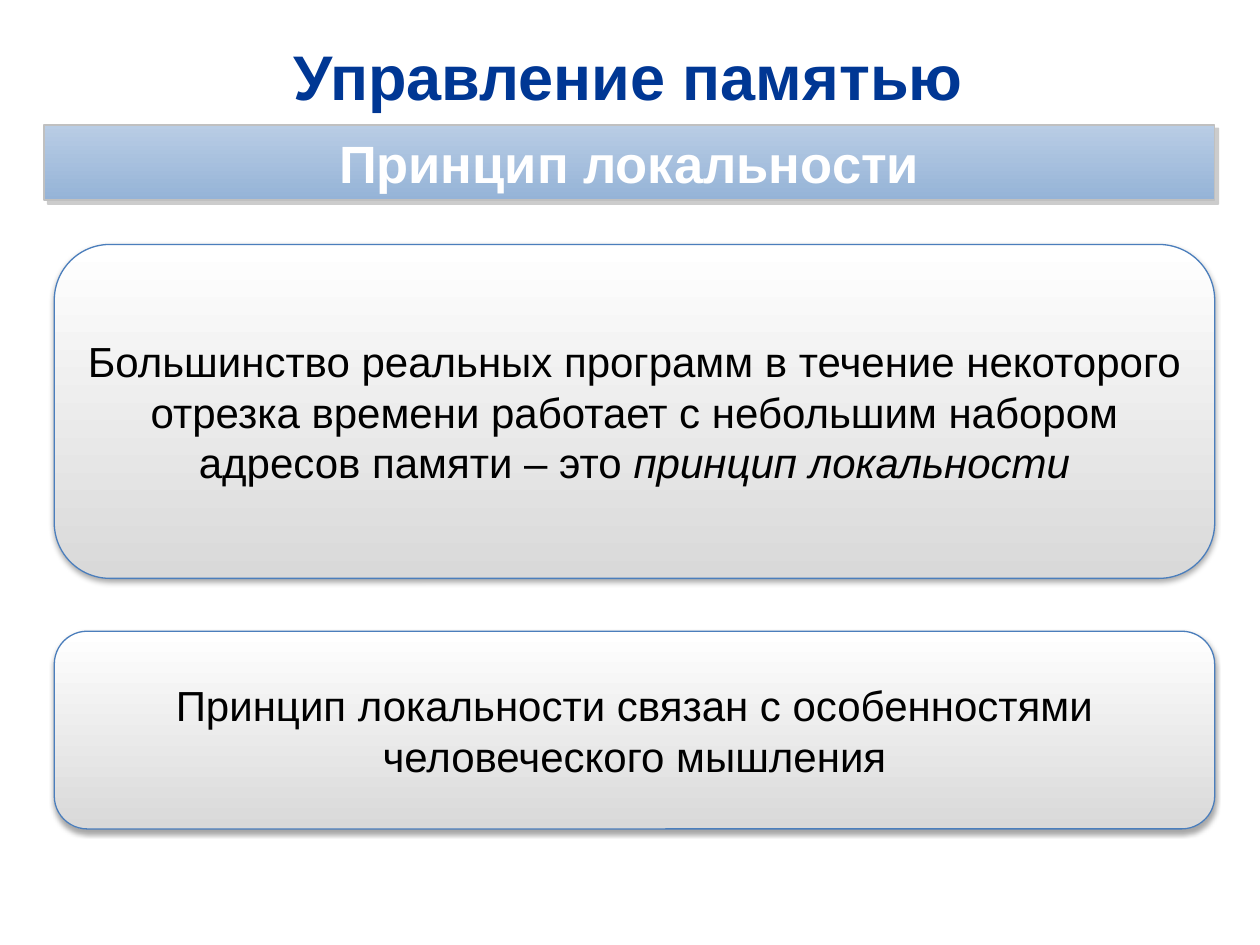
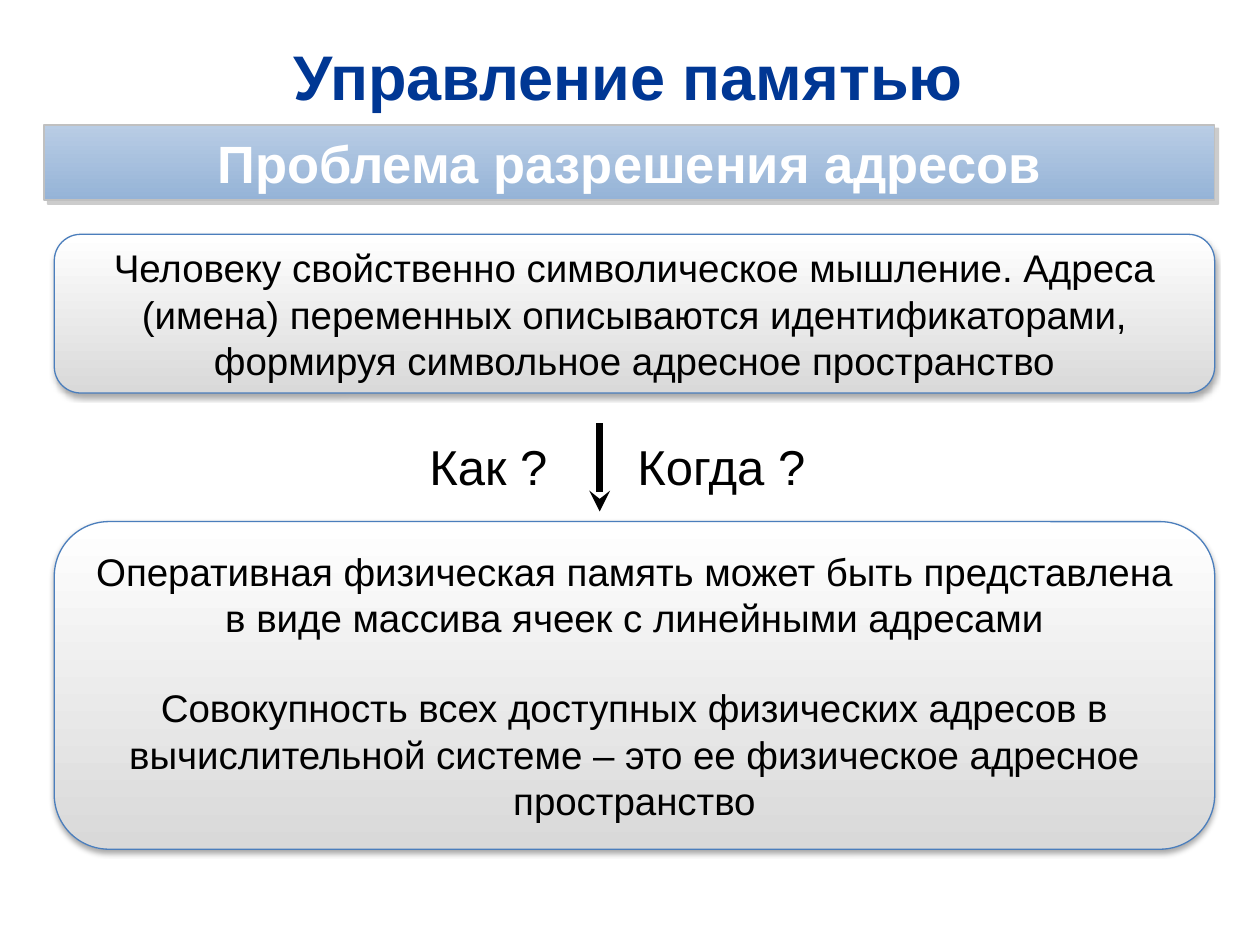
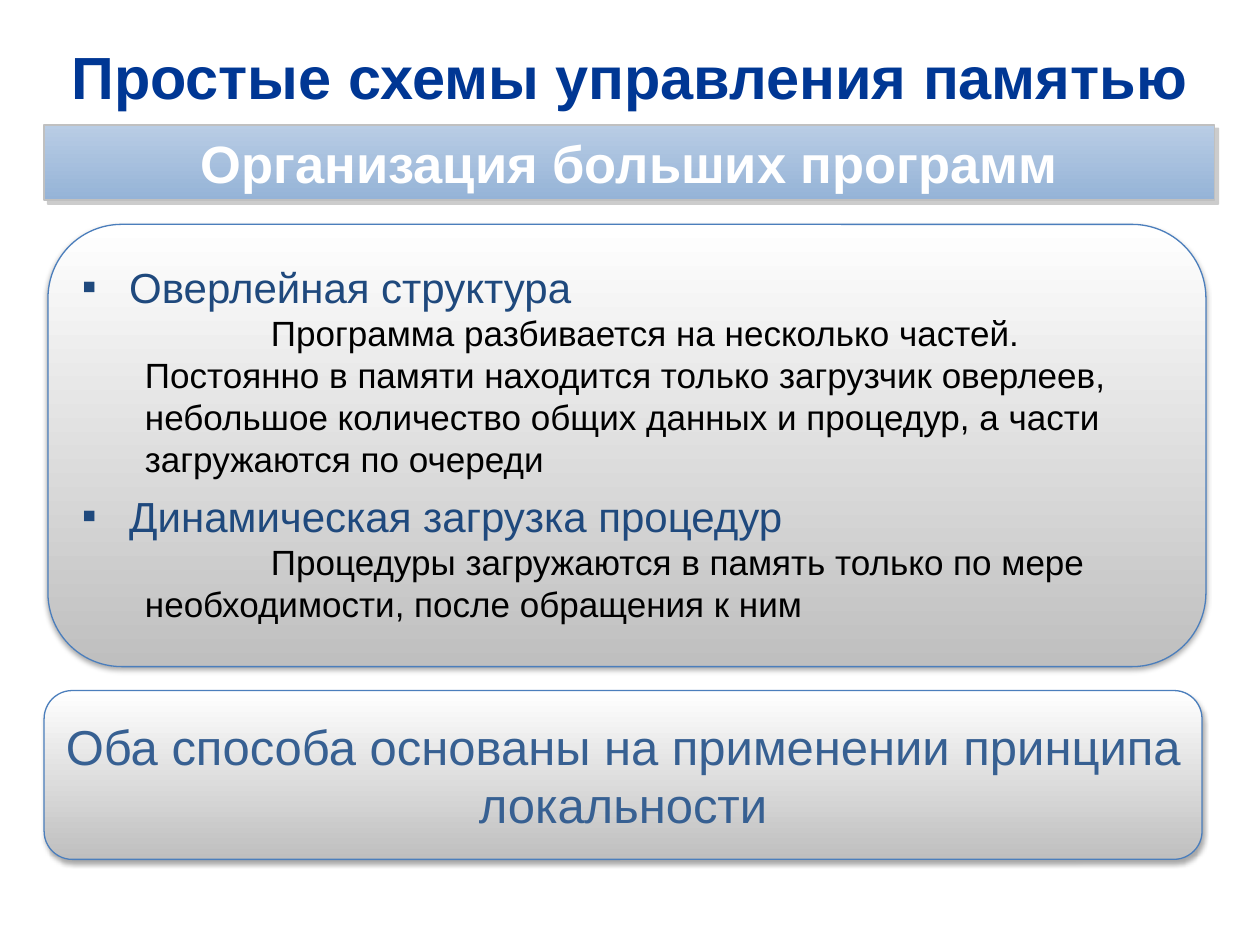
from dataclasses import dataclass

from lxml import etree
from pptx import Presentation
from pptx import util as u
from pptx.dml import color
from pptx.enum import shapes, text
from pptx.oxml import ns

Pt = u.Pt
RGB = color.RGBColor.from_string
KIND = shapes.MSO_SHAPE
MID = text.PP_ALIGN.CENTER
LEFT = text.PP_ALIGN.LEFT


@dataclass(frozen=True)
class Theme:
    """Colours, type sizes and shadows of the deck."""
    font: str = "Arial"
    ink: str = "000000"
    title: str = "003794"
    topic: str = "1F497D"
    note: str = "376092"
    white: str = "FFFFFF"
    edge: str = "4B7EBC"
    rim: str = "C0C0C0"
    pale: tuple = ("FFFFFF", "D9D9D9")
    grey: tuple = ("FFFFFF", "BFBFBF")
    blue: tuple = ("B9CDE5", "95B3D7")
    soft: tuple = ("000000", 35, 3.1, 1.8, 90)
    hard: tuple = ("808080", 40, 0, 3, 45)
    huge: float = 36
    wide: float = 34
    band: float = 30
    big: float = 28
    body: float = 24
    mid: float = 22
    small: float = 20


T = Theme()


def sub(node, tag, **attrs):
    """Append a drawing element and return it."""
    pairs = {key: str(val) for key, val in attrs.items()}
    return etree.SubElement(node, ns.qn("a:" + tag), pairs)


def place(box):
    """Turn a box in points into lengths."""
    return [Pt(val) for val in box]


def style(para, size, ink, bold=False, align=MID):
    """Format a paragraph and its runs."""
    para.alignment = align
    for run in para.runs:
        font = run.font
        font.name, font.size, font.bold = T.font, Pt(size), bold
        font.color.rgb = RGB(ink)


def fill(frame, lines, size, ink, bold=False, align=MID, gap=0):
    """Write lines into a frame with a gap between paragraphs."""
    frame.word_wrap = True
    frame.text = "\n".join(lines)
    for num, para in enumerate(frame.paragraphs):
        style(para, size, ink, bold, align)
        if num and gap:
            para.space_before = Pt(gap)


def shade(shape, look):
    """Give a shape an outer shadow."""
    ink, alpha, blur, dist, turn = look
    shape.shadow.inherit = False
    effect = shape._element.spPr.find(ns.qn("a:effectLst"))
    outer = sub(effect, "outerShdw", blurRad=Pt(blur), dist=Pt(dist),
                dir=turn * 60000, rotWithShape=0)
    sub(sub(outer, "srgbClr", val=ink), "alpha", val=alpha * 1000)


def panel(page, box, kind, tones, line, width, look):
    """Draw a shaded gradient shape and return its text frame."""
    shape = page.shapes.add_shape(kind, *place(box))
    shape.fill.gradient()
    shape.fill.gradient_angle = 270
    for stop, tone in zip(shape.fill.gradient_stops, tones):
        stop.color.rgb = RGB(tone)
    shape.line.color.rgb = RGB(line)
    shape.line.width = Pt(width)
    shade(shape, look)
    frame = shape.text_frame
    frame.vertical_anchor = text.MSO_ANCHOR.MIDDLE
    return frame


def card(page, box, tones=T.pale):
    """Draw a rounded card and return its text frame."""
    return panel(page, box, KIND.ROUNDED_RECTANGLE, tones, T.edge, 0.75, T.soft)


def label(page, box, words, size, ink=T.ink, **looks):
    """Add a plain text box and return its frame."""
    frame = page.shapes.add_textbox(*place(box)).text_frame
    fill(frame, [words], size, ink, **looks)
    return frame


def head(page, title, topic, size=T.huge, box=(17.3, 18.7, 683.3, 49)):
    """Add the slide title and the blue band under it."""
    frame = label(page, box, title, size, T.title, bold=True)
    frame.vertical_anchor = text.MSO_ANCHOR.MIDDLE
    band = panel(page, (25.2, 71.3, 668.9, 43.2), KIND.RECTANGLE, T.blue,
                 T.rim, 1, T.hard)
    band.margin_left = band.margin_right = Pt(17.3)
    band.margin_top = band.margin_bottom = Pt(2.9)
    fill(band, [topic], T.band, T.white, bold=True)


def arrow(page, x, top, end):
    """Draw a heavy downward arrow."""
    line = page.shapes.add_connector(shapes.MSO_CONNECTOR.STRAIGHT,
                                     Pt(x), Pt(top), Pt(x), Pt(end))
    line.line.color.rgb = RGB(T.ink)
    line.line.width = Pt(4)
    sub(line.line._get_or_add_ln(), "tailEnd", type="stealth")
    sub(line._element.spPr, "effectLst")


def query(page, box):
    """Place two questions on either side of an arrow."""
    x, y, wide, high = box
    arrow(page, x + 104.4, y, y + high)
    label(page, (x, y + 4.3, 110.9, 41), "Как ?", T.big, align=LEFT)
    label(page, (x + 118.8, y + 4.3, wide - 118.8, 41), "Когда ?", T.big,
          align=LEFT)


def topics(page, box, pairs):
    """Fill a card with bulleted topics and their accounts."""
    frame = card(page, box, T.grey)
    frame.margin_top, frame.margin_bottom = Pt(8.6), Pt(11.5)
    fill(frame, [line for pair in pairs for line in pair], T.small, T.ink,
         align=LEFT)
    for num, para in enumerate(frame.paragraphs):
        props = para._p.get_or_add_pPr()
        if num % 2:
            props.set("marL", str(Pt(36)))
            props.set("indent", str(Pt(72)))
            continue
        style(para, T.body, T.topic, align=LEFT)
        para.space_before = Pt(6 if num else 0)
        props.set("marL", str(Pt(27)))
        props.set("indent", str(Pt(-27)))
        sub(sub(props, "buClr"), "srgbClr", val=T.topic)
        sub(props, "buFont", typeface=T.font)
        sub(props, "buChar", char="▪")


def local(page):
    """Build the slide on the principle of locality."""
    head(page, "Управление памятью", "Принцип локальности")
    frame = card(page, (31, 139.7, 663.1, 190.8))
    fill(frame, ["Большинство реальных программ в течение некоторого отрезка "
                 "времени работает с небольшим набором адресов памяти – это "],
         T.body, T.ink)
    para = frame.paragraphs[0]
    term = para.add_run()
    term.text = "принцип локальности"
    style(para, T.body, T.ink)
    term.font.italic = True
    fill(card(page, (31, 360.7, 663.1, 113)),
         ["Принцип локальности связан с особенностями человеческого мышления"],
         T.body, T.ink)


def names(page):
    """Build the slide on address resolution."""
    head(page, "Управление памятью", "Проблема разрешения адресов")
    fill(card(page, (31, 133.9, 663.1, 90.7)),
         ["Человеку свойственно символическое мышление. Адреса (имена) "
          "переменных описываются идентификаторами, формируя символьное "
          "адресное пространство"], T.mid, T.ink)
    query(page, (238.3, 241.9, 246.2, 50.4))
    fill(card(page, (31, 298.1, 663.1, 187.2)),
         ["Оперативная физическая память может быть представлена в виде "
          "массива ячеек с линейными адресами",
          "Совокупность всех доступных физических адресов в вычислительной "
          "системе – это ее физическое адресное пространство"],
         T.mid, T.ink, gap=25.3)


def large(page):
    """Build the slide on organising large programs."""
    head(page, "Простые схемы управления памятью",
         "Организация больших программ", T.wide, (25.2, 18.7, 668.9, 49))
    topics(page, (27.4, 128.2, 661.7, 252.7), [
        ("Оверлейная структура",
         "Программа разбивается на несколько частей. Постоянно в памяти "
         "находится только загрузчик оверлеев, небольшое количество общих "
         "данных и процедур, а части загружаются по очереди"),
        ("Динамическая загрузка процедур",
         "Процедуры загружаются в память только по мере необходимости, "
         "после обращения к ним")])
    fill(card(page, (25.2, 394.6, 661.7, 96.5), T.grey),
         ["Оба способа основаны на применении принципа локальности"],
         T.big, T.note)


def main():
    """Build and save the deck."""
    deck = Presentation()
    deck.slide_width, deck.slide_height = Pt(720), Pt(540)
    for build in (local, names, large):
        build(deck.slides.add_slide(deck.slide_layouts[6]))
    deck.save("out.pptx")


if __name__ == "__main__":
    main()
